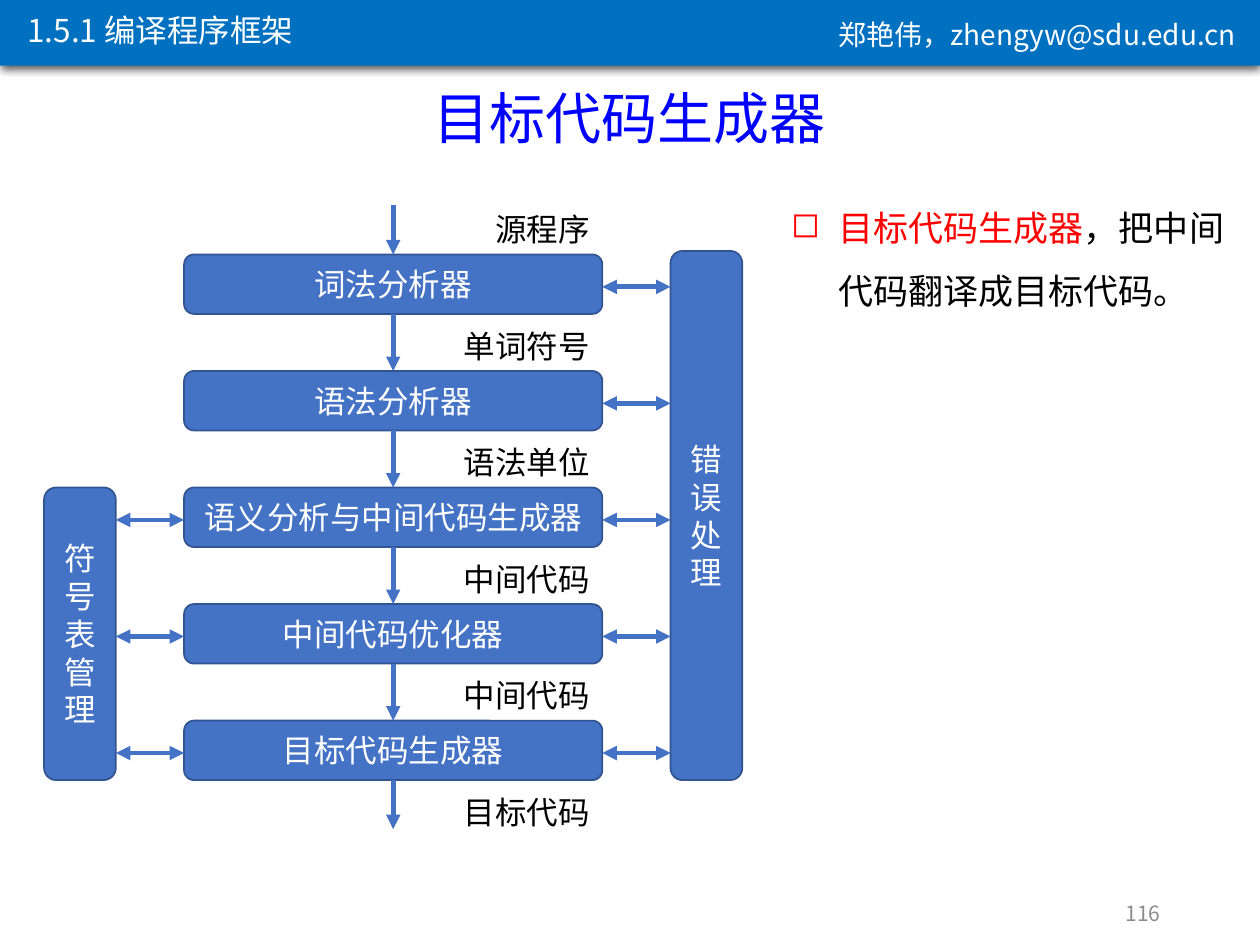
from lxml.etree import SubElement
from pptx import Presentation
from pptx.dml.color import RGBColor
from pptx.enum.shapes import MSO_CONNECTOR as Connector, MSO_SHAPE as Shape
from pptx.enum.text import MSO_ANCHOR as Anchor, PP_ALIGN as Align
from pptx.oxml.ns import qn
from pptx.util import Pt

FONT = "Noto Sans CJK SC"
BLUE = "4472C4"
WHITE = "FFFFFF"
STAGES = ["词法分析器", "语法分析器", "语义分析与中间代码生成器", "中间代码优化器", "目标代码生成器"]
FLOWS = ["源程序", "单词符号", "语法单位", "中间代码", "中间代码", "目标代码"]
STAGE_WIDTH, STAGE_HEIGHT, PITCH = 239, 34, 66.6
BAR_WIDTH, BAR_GAP = 41, 39
FIRST_SYMBOL_STAGE = 2


def color(value):
    """Turn a hex string into a colour."""
    return RGBColor.from_string(value)


def add_run(paragraph, text, size=18, fill=WHITE, font=FONT):
    """Add one formatted run to a paragraph."""
    run = paragraph.add_run()
    run.text = text
    run.font.size = Pt(size)
    run.font.name = font
    run.font.color.rgb = color(fill)
    SubElement(run.font._element, qn("a:ea"), typeface=FONT)


def write(shape, text, align=Align.LEFT, anchor=Anchor.TOP, wrap=True, **style):
    """Write one formatted paragraph into a shape and return the paragraph."""
    frame = shape.text_frame
    frame.word_wrap = wrap
    frame.vertical_anchor = anchor
    paragraph = frame.paragraphs[0]
    paragraph.alignment = align
    add_run(paragraph, text, **style)
    return paragraph


def add_text(slide, box, text, **style):
    """Add a text box at the given box and return its paragraph."""
    return write(slide.shapes.add_textbox(*map(Pt, box)), text, **style)


def add_block(slide, box, text):
    """Add a rounded block with centred text."""
    shape = slide.shapes.add_shape(Shape.ROUNDED_RECTANGLE, *map(Pt, box))
    shape.shadow.inherit = False
    shape.fill.solid()
    shape.fill.fore_color.rgb = color(BLUE)
    shape.line.color.rgb = color("325491")
    shape.line.width = Pt(1)
    write(shape, text, align=Align.CENTER, anchor=Anchor.MIDDLE)


def add_arrow(slide, start, end, double=False):
    """Add a straight arrow with one or two heads."""
    connector = slide.shapes.add_connector(Connector.STRAIGHT, *map(Pt, (*start, *end)))
    connector.line.color.rgb = color(BLUE)
    connector.line.width = Pt(2.75)
    line = connector.line._get_or_add_ln()
    for tag in ["a:headEnd", "a:tailEnd"] if double else ["a:tailEnd"]:
        SubElement(line, qn(tag), type="triangle")
    SubElement(connector._element.spPr, qn("a:effectLst"))


def add_banner(slide, left, top, width, height):
    """Draw the shadowed banner with the section and the author."""
    banner = slide.shapes.add_shape(Shape.RECTANGLE, *map(Pt, (left, top, width, height)))
    banner.fill.solid()
    banner.fill.fore_color.rgb = color("0070C0")
    banner.line.fill.background()
    banner.shadow.inherit = False
    effects = banner._element.spPr.find(qn("a:effectLst"))
    shadow = SubElement(effects, qn("a:outerShdw"), blurRad=str(Pt(4.5)), dist=str(Pt(1.5)),
                        dir="5400000", algn="t", rotWithShape="0")
    black = SubElement(shadow, qn("a:srgbClr"), val="000000")
    SubElement(black, qn("a:alpha"), val="63000")
    add_text(slide, (left + 8.6, top + 4.3, 173, 29), "1.5.1 编译程序框架", wrap=False)
    add_text(slide, (left + 472.3, top + 7.9, 247.7, 27), "郑艳伟，zhengyw@sdu.edu.cn",
             size=16, wrap=False)


def add_compiler_diagram(slide, left, top):
    """Draw the stages, the flows between them and the two side bars."""
    stage_left = left + BAR_WIDTH + BAR_GAP
    stage_right = stage_left + STAGE_WIDTH
    error_left = stage_right + BAR_GAP
    axis = stage_left + STAGE_WIDTH / 2
    first_top = top + 28
    tops = [first_top + PITCH * index for index in range(len(STAGES))]
    bottom = tops[-1] + STAGE_HEIGHT
    symbol_top = tops[FIRST_SYMBOL_STAGE]

    for text, stage_top in zip(STAGES, tops):
        add_block(slide, (stage_left, stage_top, STAGE_WIDTH, STAGE_HEIGHT), text)
    add_block(slide, (error_left, first_top - 2, BAR_WIDTH, bottom - first_top + 2), "错误处理")
    add_block(slide, (left, symbol_top, BAR_WIDTH, bottom - symbol_top), "符号表管理")

    starts = [top] + [stage_top + STAGE_HEIGHT for stage_top in tops]
    ends = tops + [bottom + 28]
    for index, (text, start, end) in enumerate(zip(FLOWS, starts, ends)):
        add_arrow(slide, (axis, start), (axis, end))
        add_text(slide, (stage_right - 87, top - 0.8 + PITCH * index, 87, 29), text,
                 align=Align.RIGHT, wrap=False, fill="000000")

    for index, stage_top in enumerate(tops):
        middle = stage_top + STAGE_HEIGHT / 2 + 1.5
        add_arrow(slide, (stage_right, middle), (error_left, middle), double=True)
        if index >= FIRST_SYMBOL_STAGE:
            add_arrow(slide, (left + BAR_WIDTH, middle), (stage_left, middle), double=True)


def add_explanation(slide, box):
    """Add the bulleted explanation."""
    paragraph = add_text(slide, box, "目标代码生成器", size=20, fill="FF0000",
                         font="Times New Roman")
    add_run(paragraph, "，把中间代码翻译成目标代码。", size=20, fill="000000",
            font="Times New Roman")
    paragraph.line_spacing = 1.5
    properties = paragraph._p.get_or_add_pPr()
    properties.set("marL", str(Pt(27)))
    properties.set("indent", str(Pt(-27)))
    SubElement(properties, qn("a:buChar"), char="◻")


def main():
    """Build the slide and save it."""
    presentation = Presentation()
    presentation.slide_width, presentation.slide_height = Pt(720), Pt(540)
    slide = presentation.slides.add_slide(presentation.slide_layouts[6])
    add_banner(slide, 0, -1.4, 720, 39)
    add_text(slide, (0, 44, 720, 46), "目标代码生成器", size=32, fill="0000FF",
             align=Align.CENTER)
    add_compiler_diagram(slide, 25.2, 117.4)
    add_explanation(slide, (445, 102.2, 272, 76))
    add_text(slide, (508.3, 507.6, 162, 28.8), "116", size=12, fill="8C8C8C",
             align=Align.RIGHT, anchor=Anchor.MIDDLE)
    presentation.save("out.pptx")


if __name__ == "__main__":
    main()
